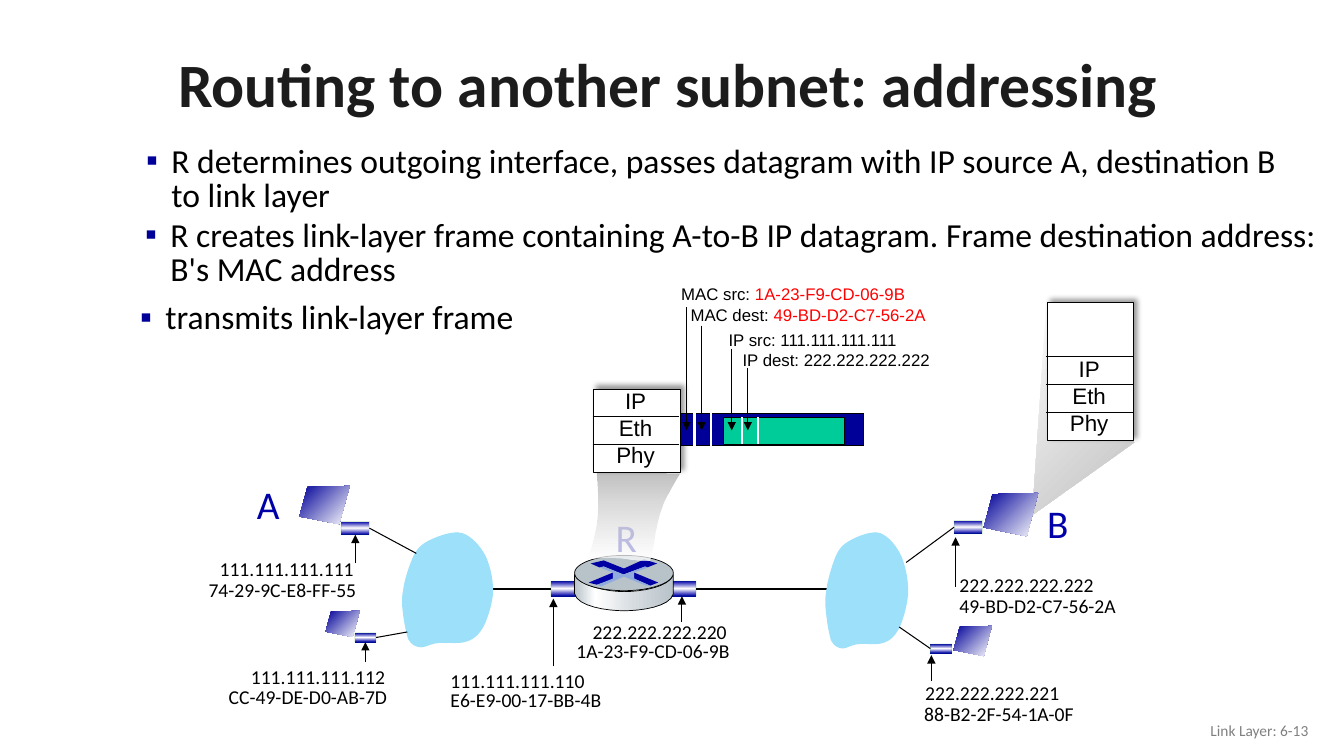
import pptx
import pptx.dml.color
import pptx.enum.shapes
import pptx.enum.text
import pptx.oxml
import pptx.oxml.ns
import pptx.util
import lxml.etree

RGB = pptx.dml.color.RGBColor
BLACK, WHITE = RGB(0, 0, 0), RGB(0xFF, 0xFF, 0xFF)
INK, GREY, RED = RGB(0x1C, 0x1C, 0x1C), RGB(0x80, 0x80, 0x80), RGB(0xFF, 0, 0)
NAVY, BLUE, ICON_BLUE = RGB(0, 0, 0x99), RGB(0, 0, 0xA8), RGB(0, 0, 0xA3)
ICON_LIGHT, STEEL, PALE_STEEL = RGB(0x8F, 0xAA, 0xDC), RGB(0xB8, 0xC2, 0xC9), RGB(0xD6, 0xDC, 0xE0)
SKY, TEAL, GREEN = RGB(0x9C, 0xE0, 0xFA), RGB(0, 0xCC, 0x99), RGB(0, 0x80, 0)
SILVER = RGB(0xBF, 0xBF, 0xBF)

LEFT, BOTTOM, RIGHT = 1, 2, 3
PARAGRAPH = pptx.enum.text.PP_ALIGN
ANCHOR = pptx.enum.text.MSO_ANCHOR
SHAPES = pptx.enum.shapes.MSO_SHAPE
qn = pptx.oxml.ns.qn

ADDRESS = {"name": "Calibri", "size": pptx.util.Pt(14), "color": BLACK}
HOST = {"name": "Calibri", "size": pptx.util.Pt(28), "color": BLUE}
BULLET = {"name": "Calibri", "size": pptx.util.Pt(24), "color": BLACK, "bold": False}
TITLE = {"name": "Calibri", "size": pptx.util.Pt(44), "color": INK, "bold": True}
FOOTER = {"name": "Calibri", "size": pptx.util.Pt(11), "color": GREY}
HEADER = {"name": "Arial", "size": pptx.util.Pt(12), "color": BLACK}
LAYER = {"name": "Arial", "size": pptx.util.Pt(16), "color": BLACK}

# Outlines in grid cells: two numbers are a corner, six are a Bézier curve.
CLOUD = [(2.8, 1), (2, 1.4, 1.6, 1.8, 1.2, 2.6), (0.8, 3.5, 0.3, 5, 0.2, 5.9),
         (0, 6.9, 0.1, 7.6, 0.2, 8.4), (0.3, 9.2, 0.5, 10.2, 0.7, 10.8),
         (1, 11.3, 1.3, 11.5, 1.8, 11.6), (2.3, 11.7, 2.8, 11.3, 3.6, 11.2),
         (4.3, 11.1, 5.6, 11.3, 6.3, 11.1), (7.1, 10.9, 7.6, 10.5, 8.1, 9.7),
         (8.5, 9, 9, 7.5, 9.1, 6.4), (9.2, 5.2, 8.9, 3.7, 8.4, 2.6),
         (7.9, 1.6, 7, 0.6, 6.1, 0.3), (5.2, 0, 3.6, 0.6, 2.8, 1)]
SCREEN = [(1, 0), (0.16, 0.03), (0, 0.8), (0.79, 1)]
ROUTER_SIDE = [(66.8, 57), (66.8, 58.9), (66.5, 60.2, 63.6, 60.6, 61.9, 60.6),
               (60.3, 60.6, 57.3, 60.2, 57, 58.9), (57, 58.4, 57, 57.5, 57, 57),
               (57.4, 58.1, 60.2, 58.7, 61.9, 58.7), (63.5, 58.7, 66.4, 58.3, 66.8, 57)]
ROUTER_ICON = [
    (ICON_BLUE, [(63.9, 55.5), (65.2, 55.9), (64.2, 56.3), (64, 56.2), (61.8, 57), (59.9, 56.2),
                 (59.5, 56.3), (58.6, 55.9), (59.9, 55.6), (61.9, 56.4)]),
    (ICON_BLUE, [(62.9, 56.8), (65.3, 57.8), (64.5, 58.1), (62.9, 57.4)]),
    (BLUE, [(60.8, 56.8), (60.8, 57.5), (59.2, 58), (58.4, 57.8)]),
    (ICON_LIGHT, [(59.5, 56.3), (59.9, 56.2), (61.9, 57), (64, 56.2), (64.3, 56.3), (62.9, 56.8),
                  (62.9, 57.4), (64.5, 58.1), (64.1, 58.1), (61.9, 57.2), (59.6, 58.2), (59.3, 58),
                  (60.8, 57.4), (60.8, 56.8)])]
ROUTER_BEAM = [(67.4, 47), (64.4, 51.7, 65.4, 52.7, 64.4, 55.6), (62.7, 55.7, 61.4, 55, 58.3, 55.4),
               (59.6, 51.7, 59.5, 50.4, 59.2, 46.7)]
HOST_BEAM = [(112.5, 43.9), (102.4, 51.1), (103.8, 30.3)]


def cells(*counts):
    """Lengths of grid cells, ten to the inch both ways."""
    return [pptx.util.Emu(round(count * 91440)) for count in counts]


def flatten(outline, steps=8):
    """Corners that follow an outline of straight and curved parts."""
    points = [outline[0]]
    for part in outline[1:]:
        if len(part) == 2:
            points.append(part)
            continue
        knots = [points[-1], part[:2], part[2:4], part[4:]]
        for step in range(1, steps + 1):
            t = step / steps
            weights = ((1 - t) ** 3, 3 * t * (1 - t) ** 2, 3 * t * t * (1 - t), t ** 3)
            points.append(tuple(sum(w * knot[i] for w, knot in zip(weights, knots)) for i in (0, 1)))
    return points


def add_xml(parent, tag, **attributes):
    return lxml.etree.SubElement(parent, qn(tag), {key: str(value) for key, value in attributes.items()})


class Board:
    def __init__(self, slide):
        self.slide, self.shapes = slide, slide.shapes

    def add_runs(self, paragraph, runs, style, **layout):
        """Fill a paragraph with (text, colour) runs; colour None keeps the style's."""
        for name, value in layout.items():
            setattr(paragraph, name, value)
        for words, color in runs:
            run = paragraph.add_run()
            run.text = words
            for name, value in style.items():
                if name == "color":
                    run.font.color.rgb = color or value
                else:
                    setattr(run.font, name, value)

    def label(self, at, lines, style, align=PARAGRAPH.LEFT, wrap=False, anchor=ANCHOR.TOP, indent=0):
        frame = self.shapes.add_textbox(*cells(*at)).text_frame
        frame.word_wrap, frame.vertical_anchor = wrap, anchor
        fit = pptx.enum.text.MSO_AUTO_SIZE
        frame.auto_size = fit.NONE if wrap else fit.SHAPE_TO_FIT_TEXT
        for number, runs in enumerate(lines):
            paragraph = frame.add_paragraph() if number else frame.paragraphs[0]
            if number and indent:
                paragraph._p.get_or_add_pPr().set("marL", str(cells(indent)[0]))
            self.add_runs(paragraph, runs, style, alignment=align)

    def placeholder(self, holder, at, words, style, anchor, bullet=False, **layout):
        holder.left, holder.top, holder.width, holder.height = cells(*at)
        frame = holder.text_frame
        frame.auto_size, frame.vertical_anchor = pptx.enum.text.MSO_AUTO_SIZE.NONE, anchor
        frame.word_wrap = True
        paragraph = frame.paragraphs[0]
        self.add_runs(paragraph, [], style, space_before=pptx.util.Pt(0), **layout)
        if bullet:
            properties = paragraph._p.get_or_add_pPr()
            properties.set("marL", str(cells(2.5)[0]))
            properties.set("indent", str(cells(-2.5)[0]))
            add_xml(add_xml(properties, "a:buClr"), "a:srgbClr", val=NAVY)
            add_xml(properties, "a:buFont", typeface="Arial")
            add_xml(properties, "a:buChar", char="▪")
        self.add_runs(paragraph, [(words, None)], style)

    def paint(self, shape, fill, line=None, width=0.75, angle=0):
        """Fill with a colour, or with (position, colour, opacity) stops."""
        if isinstance(fill, RGB):
            shape.fill.solid()
            shape.fill.fore_color.rgb = fill
        else:
            shape.fill.gradient()
            shape.fill.gradient_angle = (360 - angle) % 360
            stops = shape._element.spPr.find(qn("a:gradFill")).find(qn("a:gsLst"))
            for old in list(stops):
                stops.remove(old)
            for position, color, opacity in fill:
                stop = add_xml(stops, "a:gs", pos=position * 1000)
                add_xml(add_xml(stop, "a:srgbClr", val=color), "a:alpha", val=opacity * 1000)
        if line is None:
            shape.line.fill.background()
        else:
            shape.line.color.rgb, shape.line.width = line, pptx.util.Pt(width)
        shape.shadow.inherit = False
        return shape

    def preset(self, kind, at, fill, line=BLACK, **format_values):
        return self.paint(self.shapes.add_shape(kind, *cells(*at)), fill, line, **format_values)

    def outline(self, parts, fill, origin=(0, 0), scale=(1, 1), **format_values):
        points = [cells(*(o + s * p for o, s, p in zip(origin, scale, point))) for point in flatten(parts)]
        builder = self.shapes.build_freeform(*points[0], scale=1.0)
        builder.add_line_segments(points[1:], close=True)
        return self.paint(builder.convert_to_shape(), fill, **format_values)

    def line(self, start, end, color=BLACK, width=0.75, arrow=False, start_on=None, end_on=None):
        link = self.shapes.add_connector(pptx.enum.shapes.MSO_CONNECTOR.STRAIGHT, *cells(*start, *end))
        link.line.color.rgb, link.line.width = color, pptx.util.Pt(width)
        if start_on:
            link.begin_connect(*start_on)
        if end_on:
            link.end_connect(*end_on)
        properties = link._element.spPr
        if arrow:
            add_xml(properties.find(qn("a:ln")), "a:tailEnd", type="triangle")
        add_xml(properties, "a:effectLst")

    def interface(self, *at):
        bands = [(0, BLUE, 100), (50, WHITE, 100), (99, BLUE, 100)]
        card = self.preset(SHAPES.RECTANGLE, at, bands, GREEN, angle=90)
        edge = card._element.spPr.find(qn("a:ln")).find(qn("a:solidFill"))[0]
        add_xml(edge, "a:alpha", val=15000)
        return card

    def screen(self, x, y, width, height):
        self.outline(SCREEN, [(0, NAVY, 100), (100, WHITE, 100)], (x, y), (width, height), angle=45)

    def protocol_stack(self, x, y, height, rules):
        width, bottom = 8.6, y + height
        box = self.preset(SHAPES.RECTANGLE, (x, y, width, height), WHITE)
        shadow = add_xml(box._element.spPr.find(qn("a:effectLst")), "a:outerShdw", blurRad=50800,
                         dist=38100, dir=315 * 60000, algn="bl", rotWithShape=0)
        add_xml(add_xml(shadow, "a:srgbClr", val=BLACK), "a:alpha", val=40000)
        self.label((x + 1.25, bottom - 8.95, 5.8, 9.2), [[(name, None)] for name in ("IP", "Eth", "Phy")],
                   LAYER, PARAGRAPH.CENTER)
        for rule in range(1, rules + 1):
            level = bottom - 2.78 * rule
            self.line((x - 0.1, level), (x + width - 0.1, level))


def main():
    deck = pptx.Presentation()
    deck.slide_width, deck.slide_height = cells(133.33, 75)
    board = Board(deck.slides.add_slide(deck.slide_layouts[4]))
    title, *bodies, spare = board.slide.placeholders
    spare._element.getparent().remove(spare._element)

    board.placeholder(title, (8.8, 3.8, 115, 9.8), "Routing to another subnet: addressing", TITLE,
                      ANCHOR.MIDDLE, alignment=PARAGRAPH.CENTER, line_spacing=0.9)
    points = [
        ((13.5, 14, 115.6, 6), "R determines outgoing interface, passes datagram with IP source A, destination B to link layer"),
        ((13.4, 21.3, 118.3, 7.9), "R creates link-layer frame containing A-to-B IP datagram. Frame destination address: B's MAC address"),
        ((12.9, 29.5, 40.5, 7.9), "transmits link-layer frame")]
    for body, (at, words) in zip(bodies, points):
        board.placeholder(body, at, words, BULLET, ANCHOR.TOP, bullet=True,
                          alignment=PARAGRAPH.LEFT, line_spacing=0.85)
    board.label((100.8, 70.5, 30, 4), [[("Link Layer: 6-13", None)]], FOOTER, PARAGRAPH.RIGHT, True, ANCHOR.MIDDLE)

    board.line((47, 58.4), (82.3, 58.4), width=1.25)
    for x, y, name in [(60.1, 50.4, "R"), (24.5, 47.2, "A"), (102.9, 49, "B")]:
        board.label((x, y, 4.2, 5.7), [[(name, None)]], HOST)
    for x, y, width, address in [
            (57.8, 61, 15.5, "222.222.222.220"), (56.2, 62.9, 17.3, "1A-23-F9-CD-06-9B"),
            (43.7, 65.9, 15.5, "111.111.111.110"), (43.7, 67.8, 17.1, "E6-E9-00-17-BB-4B"),
            (23.9, 65.5, 15.5, "111.111.111.112"), (21.7, 67.5, 17.9, "CC-49-DE-D0-AB-7D"),
            (20.8, 54.8, 15.5, "111.111.111.111"), (19.7, 56.8, 16.8, "74-29-9C-E8-FF-55"),
            (94.2, 56.3, 15.5, "222.222.222.222"), (94.2, 58.4, 17.7, "49-BD-D2-C7-56-2A"),
            (90.8, 67.1, 15.5, "222.222.222.221"), (90.7, 69.1, 17, "88-B2-2F-54-1A-0F")]:
        board.label((x, y, width, 3.4), [[(address, None)]], ADDRESS)

    board.outline(CLOUD, SKY, (39.8, 52.6))
    board.outline(CLOUD, SKY, (81.8, 52.6), (0.91, 1.01))

    router_right = board.interface(66.25, 57.65, 2.8, 1.5)
    board.interface(54.65, 57.65, 2.8, 1.5)
    board.outline(ROUTER_SIDE, [(0, STEEL, 100), (21, WHITE, 100), (60, PALE_STEEL, 100), (100, STEEL, 100)],
                  line=BLACK, width=0.5)
    board.preset(SHAPES.OVAL, (57, 55.1, 9.8, 3.5), STEEL, width=0.5)
    for color, part in ROUTER_ICON:
        board.outline(part, color)

    host_a = board.interface(33.85, 51.75, 2.8, 1.3)
    neighbour_a = board.interface(35.2, 62.8, 2.1, 0.9)
    host_b = board.interface(94.65, 51.65, 2.8, 1.3)
    neighbour_b = board.interface(92.3, 63.9, 2.1, 0.9)
    for card, side, cloud_edge in [(host_a, RIGHT, (41.3, 54.9)), (neighbour_a, RIGHT, (40.4, 62.7)),
                                   (host_b, LEFT, (89.9, 55.8)), (neighbour_b, LEFT, (89.2, 62.2))]:
        board.line(cloud_edge, cloud_edge, end_on=(card, side))
    for card, start in [(host_a, (35.25, 55.9)), (neighbour_a, (36.25, 65.7)), (router_right, (67.65, 61.7))]:
        board.line(start, start, arrow=True, end_on=(card, BOTTOM))
    for x, start, tip, width in [(54.9, 66.1, 59.4, 0.75), (94.8, 58.2, 53.3, 1), (92.4, 67.6, 65, 1)]:
        board.line((x, start), (x, tip), width=width, arrow=True)
    for at in [(29.7, 48.2, 5, 3.8), (32.3, 60.6, 3.4, 2.6), (94.6, 62.1, 3.8, 3)]:
        board.screen(*at)

    board.outline(HOST_BEAM, [(0, WHITE, 100), (99, SILVER, 100)], angle=45)
    board.protocol_stack(103.9, 30, 13.7, rules=3)
    board.screen(97.6, 48.9, 5.4, 4.3)
    board.outline(ROUTER_BEAM, [(0, SILVER, 100), (100, WHITE, 72)], angle=90)
    board.protocol_stack(58.9, 38.6, 8.3, rules=2)

    board.label((71.3, 32.2, 22, 5), [[("IP src: 111.111.111.111", None)], [("IP dest: 222.222.222.222", None)]],
                HEADER, indent=1.39)
    board.label((66.6, 27.7, 26.6, 7.1), [[("MAC src: ", None), ("1A-23-F9-CD-06-9B", RED)],
                                          [("MAC dest: ", None), ("49-BD-D2-C7-56-2A", RED)]], HEADER, indent=0.93)
    board.preset(SHAPES.RECTANGLE, (67.5, 41, 18.2, 3.2), NAVY)
    board.preset(SHAPES.RECTANGLE, (71.8, 41.4, 12, 2.7), TEAL)
    for x, top, bottom in [(68.9, 41, 44.3), (70.5, 41, 44.3), (73.6, 41.4, 44), (75.2, 41.4, 44)]:
        board.line((x, top), (x, bottom), WHITE, 1.5)
    for x, top in [(68.1, 30.5), (69.6, 32.3), (72.6, 34.6), (74.2, 36.5)]:
        board.line((x, top), (x, 42.7), arrow=True)
    deck.save("out.pptx")


if __name__ == "__main__":
    main()
